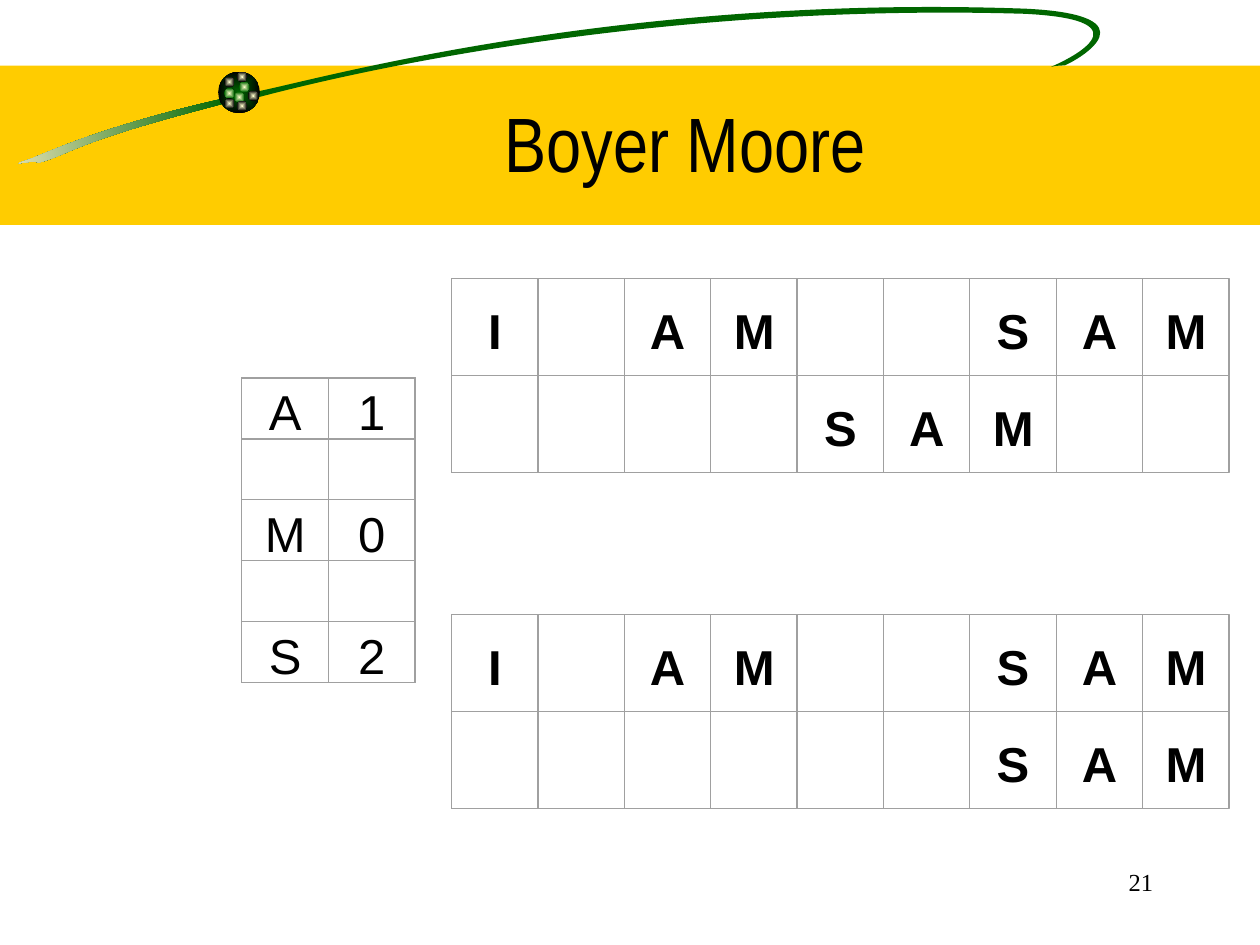
"""Build the Boyer Moore slide with its shift table and two alignments."""
from math import cos, radians, sin

from pptx import Presentation
from pptx.dml.color import RGBColor
from pptx.enum.shapes import MSO_SHAPE as Kind
from pptx.enum.text import MSO_ANCHOR as Anchor, MSO_AUTO_SIZE as Auto
from pptx.enum.text import PP_ALIGN as Align
from pptx.oxml import parse_xml
from pptx.oxml.ns import nsdecls, qn
from pptx.util import Pt

BLACK, GREEN, CREAM, GREY = "000000", "006600", "FFFFCC", "A0A0A0"
TILT = -8.5
TAIL = [(128.2, 56.2),
        (65.5, 70.6), (35.3, 83.5), (18, 90.7),
        (0.7, 96.5), (18.7, 90.7), (22.3, 92.9),
        (41, 87.8), (41, 81.4), (128.9, 59),
        (128.9, 59), (128.2, 56.2), (128.2, 56.2)]
LOOP = [(145.4, 52.6),
        (177.1, 46.8), (349.9, -3.6), (586.1, 5),
        (660.2, 8.6), (617, 33.8), (608.4, 37.4),
        (608.4, 37.4), (603.4, 37.4), (600.5, 38.2),
        (607.7, 35.3), (659.5, 11.5), (585.4, 7.9),
        (394.6, 2.2), (230.4, 33.8), (148.3, 55.4),
        (148.3, 55.4), (145.4, 52.6), (145.4, 52.6)]
DOTS = [(136.8, 46.8, GREEN), (128.2, 43.9, BLACK), (128.2, 50.4, GREEN),
        (133.9, 52.6, GREEN), (141.8, 51.8, BLACK), (135.4, 57.6, BLACK),
        (128.2, 56.2, BLACK), (135.4, 41, BLACK)]


def color(code):
    """Turn a hex string into a colour."""
    return RGBColor.from_string(code)


def paint(shape, code, end=None):
    """Fill a shape with one colour, or with a gradient to a second one."""
    shape.shadow.inherit = False
    shape.line.fill.background()
    if end is None:
        shape.fill.solid()
        shape.fill.fore_color.rgb = color(code)
        return
    shape.fill.gradient()
    shape.fill.gradient_angle = 180
    for stop, tone in zip(shape.fill.gradient_stops, (code, end)):
        stop.color.rgb = color(tone)


def block(slide, kind, box, code, end=None):
    """Add a filled preset shape."""
    shape = slide.shapes.add_shape(kind, *map(Pt, box))
    paint(shape, code, end)
    return shape


def ball(slide, left, top, size, inner, outer):
    """Add a circle shaded from its centre outwards."""
    shape = block(slide, Kind.OVAL, (left, top, size, size), inner, outer)
    grad = shape._element.spPr.find(qn("a:gradFill"))
    grad.remove(grad.find(qn("a:lin")))
    grad.append(parse_xml(
        f'<a:path {nsdecls("a")} path="rect"><a:fillToRect '
        'l="50000" t="50000" r="50000" b="50000"/></a:path>'))


def ribbon(slide, box, knots, code, end=None):
    """Add a tilted outline of cubic curves through absolute knots."""
    left, top, wide, tall = box
    turn = radians(-TILT)
    marks = []
    for x, y in knots:
        dx, dy = x - left - wide / 2, y - top - tall / 2
        marks.append((Pt(wide / 2 + dx * cos(turn) - dy * sin(turn)),
                      Pt(tall / 2 + dx * sin(turn) + dy * cos(turn))))
    pen = slide.shapes.build_freeform(*marks[0])
    pen.add_line_segments(marks[1:])
    shape = pen.convert_to_shape()
    shape.left, shape.top, shape.width, shape.height = map(Pt, box)
    shape.rotation = TILT
    dots = [f'<a:pt x="{x}" y="{y}"/>' for x, y in marks]
    curves = "".join(
        f'<a:cubicBezTo>{"".join(dots[i:i + 3])}</a:cubicBezTo>'
        for i in range(1, len(dots), 3))
    paths = shape._element.spPr.find(qn("a:custGeom")).find(qn("a:pathLst"))
    paths.replace(paths[0], parse_xml(
        f'<a:path {nsdecls("a")} w="{Pt(wide)}" h="{Pt(tall)}">'
        f'<a:moveTo>{dots[0]}</a:moveTo>{curves}<a:close/></a:path>'))
    paint(shape, code, end)


def label(slide, box, text, font="Arial", size=28, bold=False,
          align=Align.CENTER, anchor=Anchor.MIDDLE, head=3.6):
    """Add a text box with one line of formatted text."""
    frame = slide.shapes.add_textbox(*map(Pt, box)).text_frame
    frame.auto_size = Auto.NONE
    frame.word_wrap = True
    frame.vertical_anchor = anchor
    frame.margin_top = Pt(head)
    line = frame.paragraphs[0]
    line.alignment = align
    run = line.add_run()
    run.text = text
    run.font.name, run.font.size, run.font.bold = font, Pt(size), bold
    run.font.color.rgb = color(BLACK)


def border(slide, box, width=0):
    """Add a grey unfilled rectangle."""
    shape = slide.shapes.add_shape(Kind.RECTANGLE, *map(Pt, box))
    shape.shadow.inherit = False
    shape.fill.background()
    shape.line.color.rgb = color(GREY)
    shape.line.width = Pt(width)


def grid(slide, left, top, rows, tall, wide=49.35, pad=6.1, bold=False):
    """Draw a framed grid with one letter per cell."""
    for r, row in enumerate(rows):
        for c, text in enumerate(row):
            x, y = left + c * wide, top + r * tall
            if text != " ":
                label(slide, (x + pad, y, wide - 2 * pad, tall), text,
                      bold=bold, head=6.6)
            border(slide, (x, y, wide, tall))
    border(slide, (left, top, wide * len(rows[0]), tall * len(rows)), 0.62)


def main():
    """Build and save the slide."""
    deck = Presentation()
    deck.slide_width, deck.slide_height = Pt(720), Pt(540)
    slide = deck.slides.add_slide(deck.slide_layouts[6])
    block(slide, Kind.RECTANGLE, (0, 37.5, 720, 91), "FFCC00")
    ribbon(slide, (-2.2, 65.5, 132.5, 21.6), TAIL, GREEN, "F5EBC1")
    ribbon(slide, (144.7, -10.8, 515.5, 78.5), LOOP, GREEN)
    ball(slide, 124.7, 40.9, 23.8, GREEN, BLACK)
    for left, top, rim in DOTS:
        ball(slide, left, top, 5.8, CREAM, rim)
    label(slide, (90.7, 36, 612, 90), "Boyer Moore ",
          font="Arial Narrow", size=44)
    grid(slide, 138.2, 216, ["A1", "  ", "M0", "  ", "S2"], 34.8,
         wide=49.5, pad=5.2)
    for top, guess in ((159.1, "    SAM  "), (351.2, "      SAM")):
        grid(slide, 258.1, top, ["I AM  SAM", guess], 55.4, bold=True)
    label(slide, (516.2, 491.8, 149.8, 36), "21", font="Times New Roman",
          size=14, align=Align.RIGHT, anchor=Anchor.TOP)
    deck.save("out.pptx")


if __name__ == "__main__":
    main()
